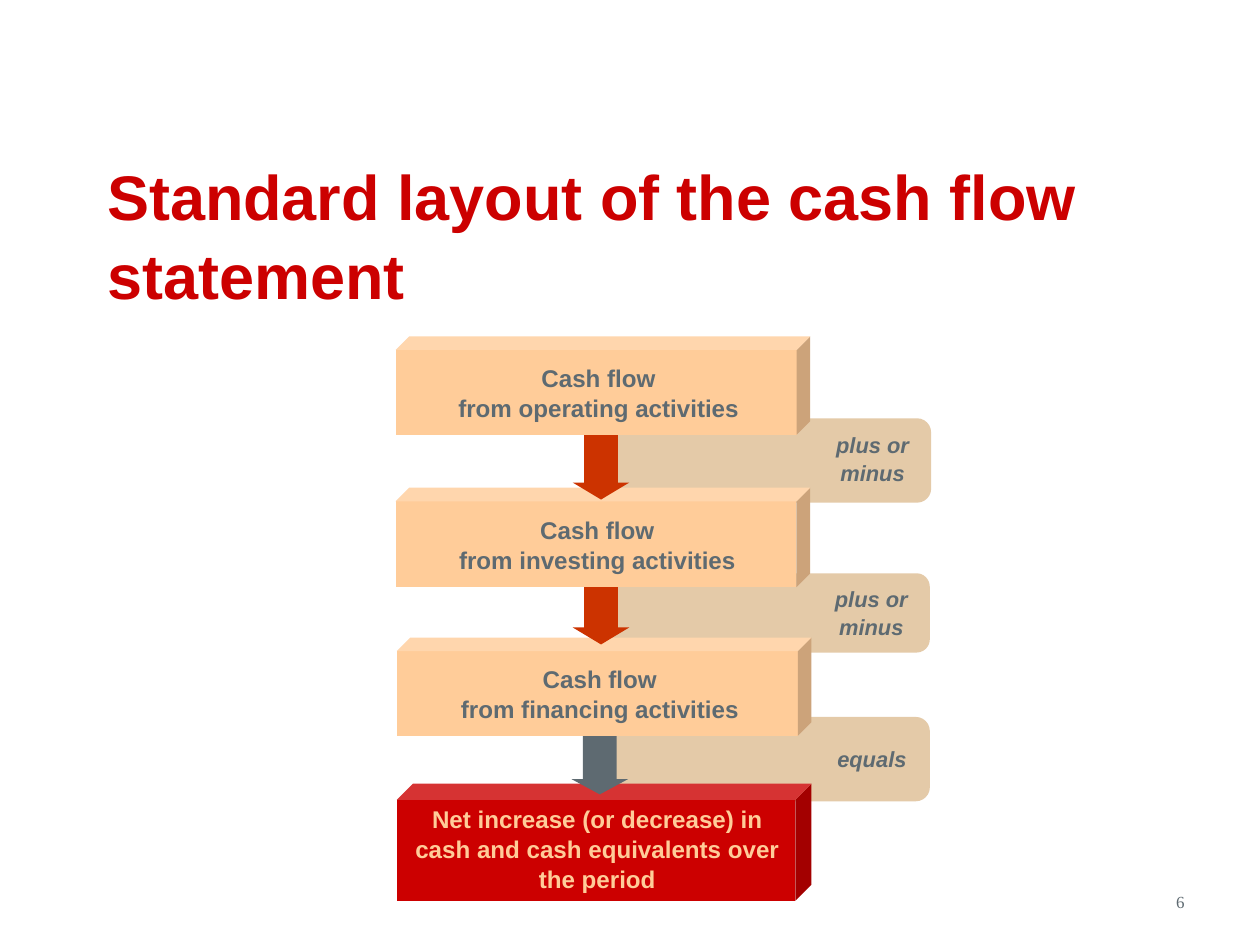
from pptx import Presentation
from pptx.dml.color import RGBColor
from pptx.enum.shapes import MSO_SHAPE
from pptx.enum.text import MSO_ANCHOR, PP_ALIGN
from pptx.util import Inches, Pt

CUBE, PANEL, ARROW = MSO_SHAPE.CUBE, MSO_SHAPE.ROUNDED_RECTANGLE, MSO_SHAPE.RIGHT_ARROW
CENTER, LEFT, RIGHT = PP_ALIGN.CENTER, PP_ALIGN.LEFT, PP_ALIGN.RIGHT
TOP, MIDDLE, BOTTOM = MSO_ANCHOR.TOP, MSO_ANCHOR.MIDDLE, MSO_ANCHOR.BOTTOM
RED, ORANGE, PEACH, TAN, SLATE = "CC0000", "CC3300", "FFCC99", "E4CAA8", "5E6A71"

prs = Presentation()
prs.slide_width, prs.slide_height = Inches(10), Inches(7.5)
slide = prs.slides.add_slide(prs.slide_layouts[5])


def add_block(kind, box, color, adjustments, rotation=0):
    block = slide.shapes.add_shape(kind, *map(Inches, box))
    for index, value in enumerate(adjustments):
        block.adjustments[index] = value
    block.rotation = rotation
    block.shadow.inherit = False
    block.fill.solid()
    block.fill.fore_color.rgb = RGBColor.from_string(color)
    block.line.fill.background()


def write(holder, text, size, color, align=CENTER, anchor=TOP, font="Arial", bold=True, italic=False):
    frame = holder.text_frame
    frame.word_wrap = True
    frame.vertical_anchor = anchor
    frame.text = text
    for paragraph in frame.paragraphs:
        paragraph.alignment = align
        paragraph.line_spacing = 1.05
        for run in paragraph.runs:
            run.font.name, run.font.size = font, Pt(size)
            run.font.bold, run.font.italic = bold, italic
            run.font.color.rgb = RGBColor.from_string(color)


title = slide.shapes.title
title.left, title.top, title.width, title.height = map(Inches, (0.75, 2.01, 8.83, 1.09))
write(title, "Standard layout of the cash flow statement", 36, RED, LEFT, BOTTOM)
title.text_frame.margin_bottom = Inches(0.62)

page_number = slide.shapes.add_textbox(*map(Inches, (7.17, 6.95, 2.33, 0.4)))
write(page_number, "6", 9.7, SLATE, RIGHT, MIDDLE, "Times New Roman", False)

operators = [
    ((4.77, 3.32, 2.62, 0.67), "plus or minus", (6.33, 3.37, 1.19, 0.52)),
    ((4.75, 4.55, 2.63, 0.63), "plus or minus", (6.32, 4.59, 1.19, 0.52)),
    ((4.77, 5.69, 2.61, 0.67), "equals", (6.41, 5.86, 1.02, 0.31)),
]
for panel_box, operator, label_box in operators:
    add_block(PANEL, panel_box, TAN, [0.167])
    write(slide.shapes.add_textbox(*map(Inches, label_box)), operator, 12.5, SLATE, italic=True)

result = "Net increase (or decrease) in cash and cash equivalents over the period"
steps = [
    ((3.15, 6.22, 3.29, 0.93), RED, result, (3.11, 6.32, 3.26, 0.8), PEACH),
    ((3.15, 5.06, 3.29, 0.78), PEACH, "Cash flow\vfrom financing activities", (3.17, 5.21, 3.18, 0.57), SLATE),
    ((3.14, 3.87, 3.29, 0.79), PEACH, "Cash flow\vfrom investing activities", (3.15, 4.03, 3.18, 0.57), SLATE),
    ((3.14, 2.67, 3.29, 0.78), PEACH, "Cash flow\vfrom operating activities", (3.16, 2.82, 3.18, 0.57), SLATE),
]
incoming_arrows = [
    ((4.46, 5.78, 0.6, 0.45), SLATE, 0.27),
    ((4.44, 4.56, 0.66, 0.45), ORANGE, 0.3),
    ((4.44, 3.41, 0.66, 0.45), ORANGE, 0.3),
    None,
]
for (cube_box, fill, caption, caption_box, ink), arrow in zip(steps, incoming_arrows):
    add_block(CUBE, cube_box, fill, [0.138])
    write(slide.shapes.add_textbox(*map(Inches, caption_box)), caption, 13.8, ink)
    if arrow:
        arrow_box, arrow_color, head = arrow
        add_block(ARROW, arrow_box, arrow_color, [0.594, head], 90)

prs.save("out.pptx")
